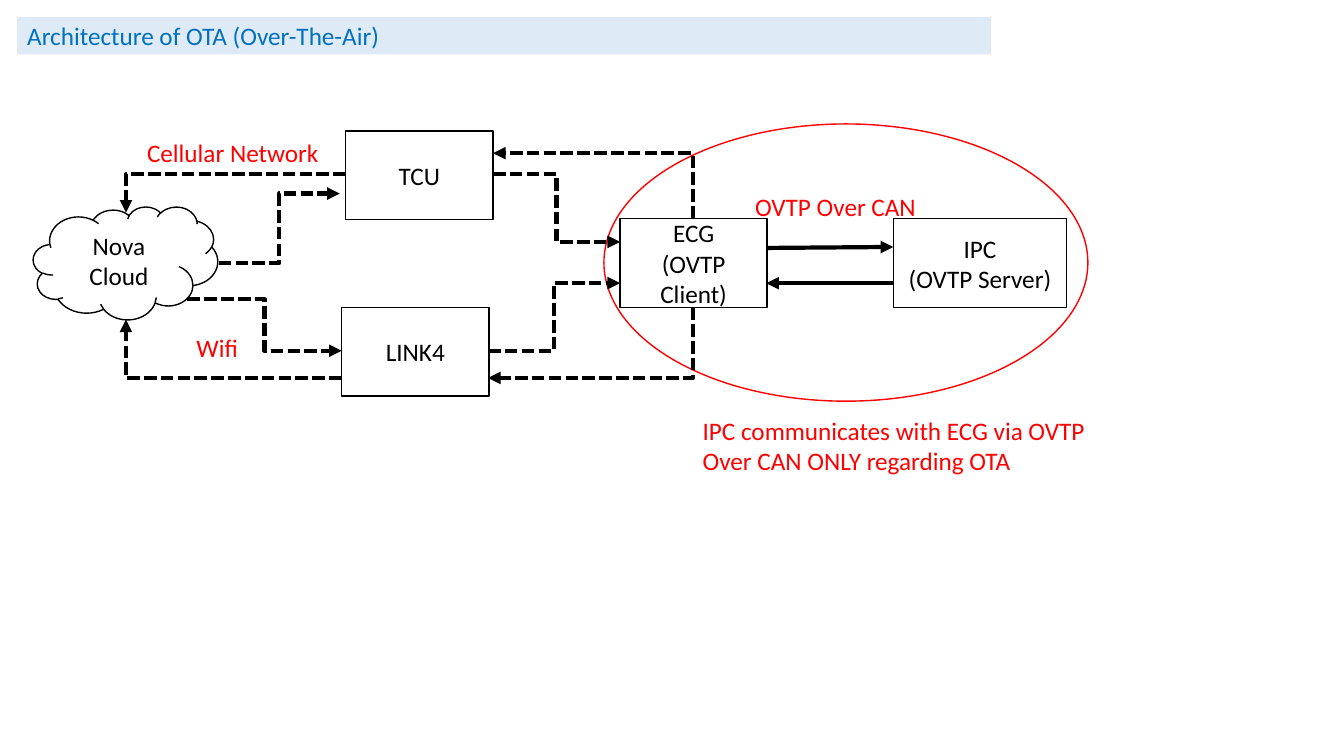
from dataclasses import dataclass
from enum import Enum

from lxml import etree
from pptx import Presentation
from pptx import util as u
from pptx.dml.color import RGBColor
from pptx.enum import dml, shapes, text
from pptx.oxml.ns import qn

PX = u.Inches(1) // 100
FONT = "Calibri"
BLACK = RGBColor(0x00, 0x00, 0x00)
WHITE = RGBColor(0xFF, 0xFF, 0xFF)
RED = RGBColor(0xFF, 0x00, 0x00)
BLUE = RGBColor(0x00, 0x70, 0xC0)
PALE_BLUE = RGBColor(0xDE, 0xEB, 0xF7)
SHAPE = shapes.MSO_SHAPE


class Route(Enum):
    STRAIGHT = "line"
    STEP = "bentConnector3"
    ACROSS_THEN_VERTICAL = "bentConnector2"
    VERTICAL_THEN_ACROSS = "bentConnector2 turned"


@dataclass(frozen=True)
class Node:
    lines: tuple[str, ...]
    x: int
    y: int
    w: int
    h: int
    kind: SHAPE = SHAPE.RECTANGLE


@dataclass(frozen=True)
class Label:
    lines: tuple[str, ...]
    x: int
    y: int
    w: int
    h: int = 40


@dataclass(frozen=True)
class Link:
    x1: int
    y1: int
    x2: int
    y2: int
    route: Route


OVTP_SCOPE = Node((), 599, 123, 480, 275, SHAPE.OVAL)
NODES = (
    Node(("LINK4",), 339, 305, 146, 88),
    Node(("TCU",), 343, 130, 146, 88),
    Node(("ECG", "(OVTP Client)"), 615, 217, 146, 88),
    Node(("IPC", "(OVTP Server)"), 886, 217, 172, 88),
    Node(("Nova Cloud",), 33, 205, 183, 112, SHAPE.CLOUD),
)
LINKS = (
    Link(760, 246, 886, 245, Route.STRAIGHT),
    Link(886, 281, 760, 281, Route.STRAIGHT),
    Link(687, 217, 489, 152, Route.VERTICAL_THEN_ACROSS),
    Link(489, 173, 615, 240, Route.STEP),
    Link(687, 305, 484, 375, Route.VERTICAL_THEN_ACROSS),
    Link(484, 348, 615, 281, Route.STEP),
    Link(343, 173, 125, 211, Route.ACROSS_THEN_VERTICAL),
    Link(339, 375, 125, 317, Route.ACROSS_THEN_VERTICAL),
    Link(186, 297, 339, 348, Route.STEP),
    Link(217, 261, 337, 192, Route.STEP),
)
LABELS = (
    Label(("OVTP Over CAN",), 739, 185, 181),
    Label(("Wifi",), 185, 325, 62),
    Label(("Cellular Network",), 136, 131, 192),
    Label(("IPC communicates with ECG via OVTP", "Over CAN ONLY regarding OTA"),
          687, 407, 409, 71),
)


def px(*values: float) -> list[int]:
    return [round(v * PX) for v in values]


def write(tf, lines: tuple[str, ...], color: RGBColor, align) -> None:
    for i, line in enumerate(lines):
        p = tf.paragraphs[0] if i == 0 else tf.add_paragraph()
        p.alignment = align
        r = p.add_run()
        r.text = line
        r.font.name = FONT
        r.font.size = u.Pt(18)
        r.font.color.rgb = color


def add_title(s, title: str) -> None:
    sp = s.shapes.title
    sp.left, sp.top, sp.width, sp.height = px(17, 17, 966, 37)
    sp.fill.solid()
    sp.fill.fore_color.rgb = PALE_BLUE
    tf = sp.text_frame
    tf.auto_size = text.MSO_AUTO_SIZE.NONE
    tf.vertical_anchor = text.MSO_ANCHOR.MIDDLE
    write(tf, (title,), BLUE, text.PP_ALIGN.LEFT)


def add_node(s, node: Node, line: RGBColor, fill: RGBColor | None) -> None:
    sp = s.shapes.add_shape(node.kind, *px(node.x, node.y, node.w, node.h))
    sp.shadow.inherit = False
    sp.line.color.rgb = line
    sp.line.width = u.Pt(1)
    if fill is None:
        sp.fill.background()
    else:
        sp.fill.solid()
        sp.fill.fore_color.rgb = fill
    sp.text_frame.vertical_anchor = text.MSO_ANCHOR.MIDDLE
    write(sp.text_frame, node.lines, BLACK, text.PP_ALIGN.CENTER)


def turned_ends(link: Link) -> tuple[float, float, float, float]:
    """Ends of the link before its quarter turn about the centre."""
    dx, dy = link.x2 - link.x1, link.y2 - link.y1
    cx, cy = (link.x1 + link.x2) / 2, (link.y1 + link.y2) / 2
    half_w = abs(dy) / 2
    half_h = -dx / 2 if dy > 0 else dx / 2
    return cx - half_w, cy - half_h, cx + half_w, cy + half_h


def add_link(s, link: Link) -> None:
    straight = link.route is Route.STRAIGHT
    turned = link.route is Route.VERTICAL_THEN_ACROSS
    ends = turned_ends(link) if turned else (link.x1, link.y1, link.x2, link.y2)
    kind = shapes.MSO_CONNECTOR.STRAIGHT if straight else shapes.MSO_CONNECTOR.ELBOW
    c = s.shapes.add_connector(kind, *px(*ends))
    c.line.color.rgb = BLACK
    c.line.width = u.Pt(3)
    if not straight:
        c.line.dash_style = dml.MSO_LINE.SQUARE_DOT
    sp_pr = c._element.spPr
    if turned or link.route is Route.ACROSS_THEN_VERTICAL:
        sp_pr.find(qn("a:prstGeom")).set("prst", "bentConnector2")
    if turned:
        degrees = 90 if link.y2 > link.y1 else 270
        sp_pr.find(qn("a:xfrm")).set("rot", str(degrees * 60000))
    etree.SubElement(sp_pr.find(qn("a:ln")), qn("a:tailEnd"), type="triangle")
    etree.SubElement(sp_pr, qn("a:effectLst"))


def add_label(s, label: Label) -> None:
    tf = s.shapes.add_textbox(*px(label.x, label.y, label.w, label.h)).text_frame
    tf.word_wrap = False
    tf.auto_size = text.MSO_AUTO_SIZE.SHAPE_TO_FIT_TEXT
    write(tf, label.lines, RED, text.PP_ALIGN.LEFT)


def main() -> None:
    prs = Presentation()
    prs.slide_width, prs.slide_height = px(1333, 750)
    s = prs.slides.add_slide(prs.slide_layouts.get_by_name("Title Only"))
    add_title(s, "Architecture of OTA (Over-The-Air)")
    add_node(s, OVTP_SCOPE, RED, None)
    for node in NODES:
        add_node(s, node, BLACK, WHITE)
    for link in LINKS:
        add_link(s, link)
    for label in LABELS:
        add_label(s, label)
    prs.save("out.pptx")


if __name__ == "__main__":
    main()
